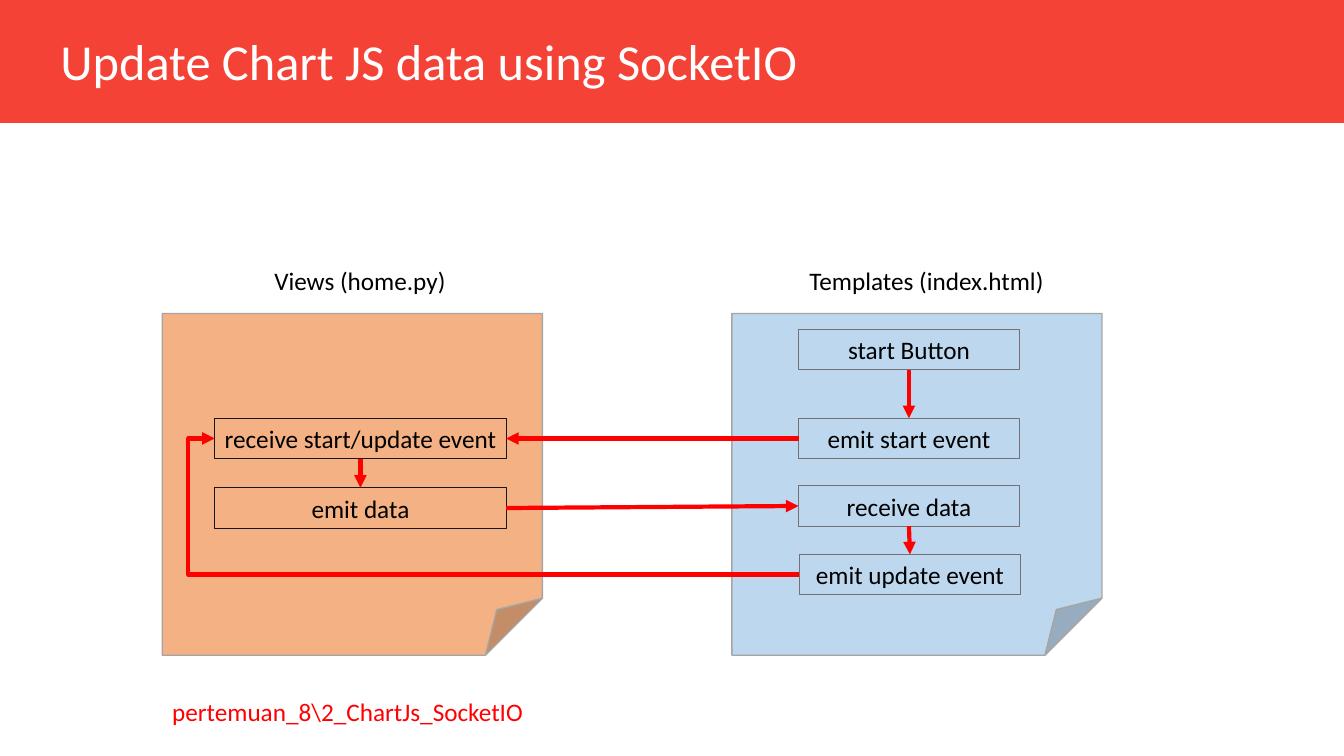
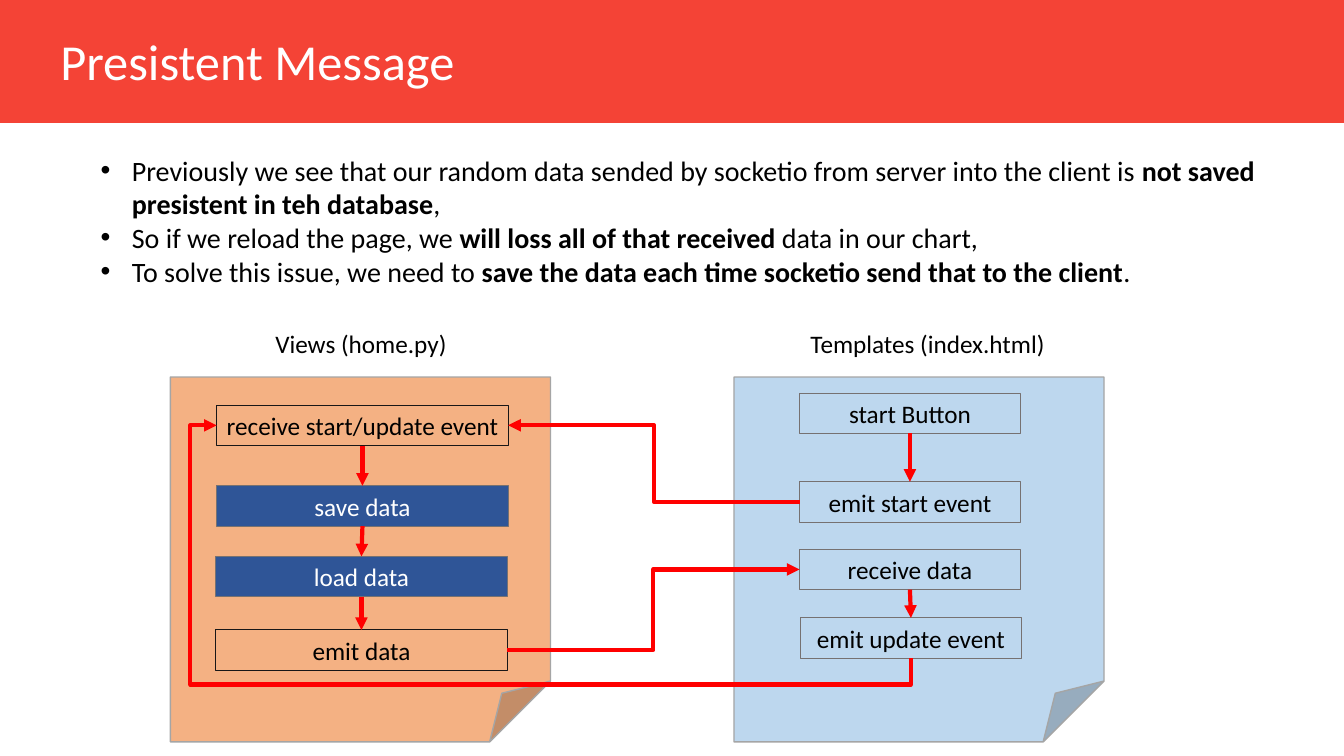
from dataclasses import dataclass

from lxml.etree import SubElement
from pptx import Presentation
from pptx.dml.color import RGBColor
from pptx.enum.shapes import MSO_CONNECTOR, MSO_SHAPE
from pptx.enum.text import MSO_ANCHOR, PP_ALIGN
from pptx.oxml.ns import qn
from pptx.util import Pt

PX = 9144
TOP, LEFT, BOTTOM, RIGHT = range(4)


@dataclass(frozen=True)
class Theme:
    font: str = "Calibri"
    band: str = "F44336"
    white: str = "FFFFFF"
    black: str = "000000"
    accent: str = "FF0000"
    views_page: str = "F4B183"
    templates_page: str = "BDD7EE"
    page_line: str = "A5A5A5"
    title_size: int = 36
    body_size: int = 20
    label_size: int = 18
    page_line_width: float = 1
    box_line_width: float = 0.75
    arrow_width: float = 3


THEME = Theme()
BOX_HEIGHT = 40
VIEWS_WIDTH, TEMPLATES_WIDTH = 289, 219
BULLET_INDENT = 31

BOX_STYLES = {
    "views": (None, "181717", THEME.black, VIEWS_WIDTH),
    "storage": ("2F5597", "767171", THEME.white, VIEWS_WIDTH),
    "templates": (None, "767171", THEME.black, TEMPLATES_WIDTH),
}

TEMPLATES_BOXES = [
    ("start Button", 792, 327),
    ("emit start event", 792, 415),
    ("receive data", 792, 482),
    ("emit update event", 793, 550),
]
TEMPLATES_ARROWS = [
    ("start Button", BOTTOM, "emit start event", TOP, []),
    ("receive data", BOTTOM, "emit update event", TOP, []),
]
LABELS = [("Views (home.py)", 262, 258, 190), ("Templates (index.html)", 793, 258, 252)]

SLIDES = [
    {
        "title": "Update Chart JS data using SocketIO",
        "shift": (0, 0),
        "pages": [(161, 311, 377, 339), (726, 311, 367, 339)],
        "views": [
            ("receive start/update event", "views", 213, 415),
            ("emit data", "views", 213, 484),
        ],
        "arrows": [
            ("emit start event", LEFT, "receive start/update event", RIGHT, []),
            ("emit data", RIGHT, "receive data", LEFT, []),
            ("receive start/update event", BOTTOM, "emit data", TOP, []),
            ("emit update event", LEFT, "receive start/update event", LEFT, [104500]),
        ],
        "caption": "pertemuan_8\\2_ChartJs_SocketIO",
        "bullets": [],
    },
    {
        "title": "Presistent Message",
        "shift": (1, 63),
        "pages": [(169, 374, 377, 362), (728, 374, 367, 362)],
        "views": [
            ("receive start/update event", "views", 215, 402),
            ("save data", "storage", 215, 482),
            ("load data", "storage", 214, 552),
            ("emit data", "views", 214, 625),
        ],
        "arrows": [
            ("emit start event", LEFT, "receive start/update event", RIGHT, [50000]),
            ("emit data", RIGHT, "receive data", LEFT, [50000]),
            ("receive start/update event", BOTTOM, "save data", TOP, []),
            ("save data", BOTTOM, "load data", TOP, []),
            ("load data", BOTTOM, "emit data", TOP, []),
            ("emit update event", BOTTOM, "receive start/update event", LEFT, [-11300, 103800]),
        ],
        "caption": None,
        "bullets": [
            [
                ("Previously we see that our random data sended by socketio from server into the client is ", False),
                ("not saved presistent in teh database", True),
                (",", False),
            ],
            [
                ("So if we reload the page, we ", False),
                ("will loss all of that received", True),
                (" data in our chart,", False),
            ],
            [
                ("To solve this issue, we need to ", False),
                ("save the data each time socketio send that to the client", True),
                (".", False),
            ],
        ],
    },
]


def emu(*lengths):
    return [length * PX for length in lengths]


def style_paragraph(paragraph, size, color, align):
    paragraph.font.name = THEME.font
    paragraph.font.size = Pt(size)
    paragraph.font.color.rgb = RGBColor.from_string(color)
    paragraph.alignment = align


def add_text(slide, text, box, size, color, align=PP_ALIGN.LEFT):
    frame = slide.shapes.add_textbox(*emu(*box)).text_frame
    frame.word_wrap = align == PP_ALIGN.LEFT
    frame.text = text
    style_paragraph(frame.paragraphs[0], size, color, align)


def add_panel(slide, kind, box, fill, line=None, line_width=0):
    shape = slide.shapes.add_shape(kind, *emu(*box))
    shape.shadow.inherit = False
    if fill:
        shape.fill.solid()
        shape.fill.fore_color.rgb = RGBColor.from_string(fill)
    else:
        shape.fill.background()
    if line:
        shape.line.color.rgb = RGBColor.from_string(line)
        shape.line.width = Pt(line_width)
    else:
        shape.line.fill.background()
    return shape


def add_box(slide, text, style, left, top):
    fill, line, color, width = BOX_STYLES[style]
    shape = add_panel(slide, MSO_SHAPE.RECTANGLE, (left, top, width, BOX_HEIGHT),
                      fill, line, THEME.box_line_width)
    frame = shape.text_frame
    frame.word_wrap = False
    frame.vertical_anchor = MSO_ANCHOR.MIDDLE
    frame.text = text
    style_paragraph(frame.paragraphs[0], THEME.label_size, color, PP_ALIGN.CENTER)
    return shape


def side_middle(shape, side):
    across, down = {TOP: (1, 0), LEFT: (0, 1), BOTTOM: (1, 2), RIGHT: (2, 1)}[side]
    return shape.left + shape.width * across // 2, shape.top + shape.height * down // 2


def turn_upright(connector, start, end):
    width, height = abs(end[1] - start[1]), abs(end[0] - start[0])
    connector.left = (start[0] + end[0] - width) // 2
    connector.top = (start[1] + end[1] - height) // 2
    connector.width, connector.height = width, height
    transform = connector.element.spPr.find(qn("a:xfrm"))
    transform.set("rot", "5400000")
    transform.set("flipH", "1")
    transform.set("flipV", "0")


def add_arrow(slide, source, source_side, target, target_side, bends):
    start, end = side_middle(source, source_side), side_middle(target, target_side)
    kind = MSO_CONNECTOR.ELBOW if bends else MSO_CONNECTOR.STRAIGHT
    connector = slide.shapes.add_connector(kind, *start, *end)
    connector.begin_connect(source, source_side)
    connector.end_connect(target, target_side)
    connector.line.color.rgb = RGBColor.from_string(THEME.accent)
    connector.line.width = Pt(THEME.arrow_width)
    properties = connector.element.spPr
    SubElement(connector.line._get_or_add_ln(), qn("a:tailEnd"), type="triangle")
    SubElement(properties, qn("a:effectLst"))
    if bends:
        geometry = properties.find(qn("a:prstGeom"))
        geometry.set("prst", f"bentConnector{len(bends) + 2}")
        guides = geometry.find(qn("a:avLst"))
        if guides is None:
            guides = SubElement(geometry, qn("a:avLst"))
        for number, bend in enumerate(bends, 1):
            SubElement(guides, qn("a:gd"), name=f"adj{number}", fmla=f"val {bend}")
    if len(bends) == 2:
        turn_upright(connector, start, end)


def add_bullets(slide, bullets):
    frame = slide.shapes.add_textbox(*emu(90, 147, 1227, 145)).text_frame
    frame.word_wrap = True
    for index, runs in enumerate(bullets):
        paragraph = frame.paragraphs[0] if index == 0 else frame.add_paragraph()
        style_paragraph(paragraph, THEME.body_size, THEME.black, PP_ALIGN.LEFT)
        for text, bold in runs:
            run = paragraph.add_run()
            run.text = text
            run.font.bold = bold
        properties = paragraph._p.get_or_add_pPr()
        properties.set("marL", str(BULLET_INDENT * PX))
        properties.set("indent", str(-BULLET_INDENT * PX))
        bullet_font = properties.makeelement(qn("a:buFont"), {"typeface": "Arial"})
        bullet_mark = properties.makeelement(qn("a:buChar"), {"char": "•"})
        properties.insert(0, bullet_font)
        properties.insert(1, bullet_mark)


def build_slide(presentation, content):
    slide = presentation.slides.add_slide(presentation.slide_layouts[6])
    add_panel(slide, MSO_SHAPE.RECTANGLE, (0, -1, 1335, 123), THEME.band)
    add_text(slide, content["title"], (50, 25, 1200, 71), THEME.title_size, THEME.white)
    if content["bullets"]:
        add_bullets(slide, content["bullets"])
    if content["caption"]:
        add_text(slide, content["caption"], (161, 686, 496, 40), THEME.label_size, THEME.accent)

    for page, fill in zip(content["pages"], (THEME.views_page, THEME.templates_page)):
        add_panel(slide, MSO_SHAPE.FOLDED_CORNER, page, fill, THEME.page_line, THEME.page_line_width)

    shift_x, shift_y = content["shift"]
    for text, left, top, width in LABELS:
        add_text(slide, text, (left + shift_x, top + shift_y, width, BOX_HEIGHT),
                 THEME.label_size, THEME.black, PP_ALIGN.CENTER)
    templates = [(text, "templates", left + shift_x, top + shift_y)
                 for text, left, top in TEMPLATES_BOXES]
    boxes = {box[0]: add_box(slide, *box) for box in content["views"] + templates}
    for source, source_side, target, target_side, bends in TEMPLATES_ARROWS + content["arrows"]:
        add_arrow(slide, boxes[source], source_side, boxes[target], target_side, bends)


def main():
    presentation = Presentation()
    presentation.slide_width, presentation.slide_height = emu(1333, 750)
    for content in SLIDES:
        build_slide(presentation, content)
    presentation.save("out.pptx")


if __name__ == "__main__":
    main()
